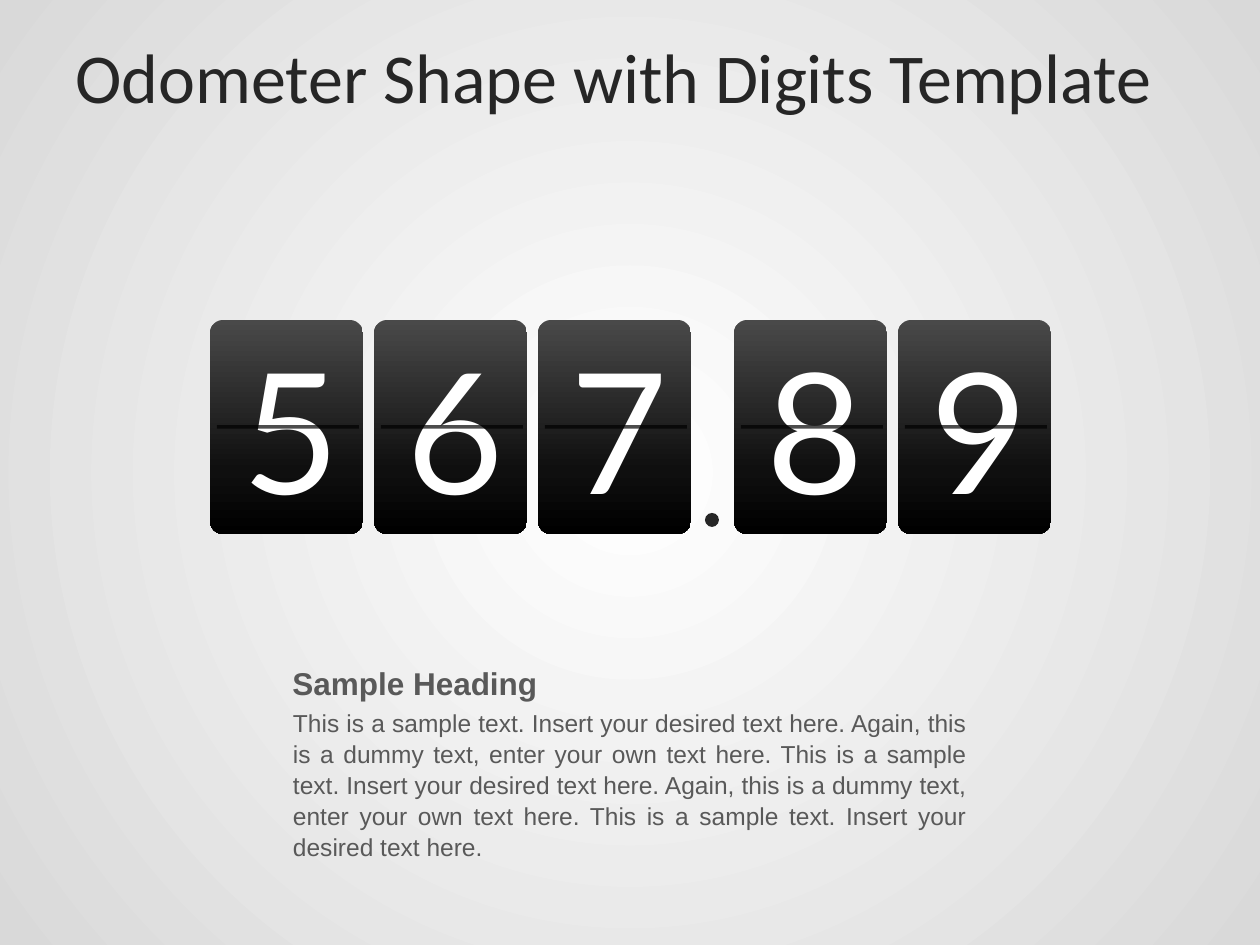
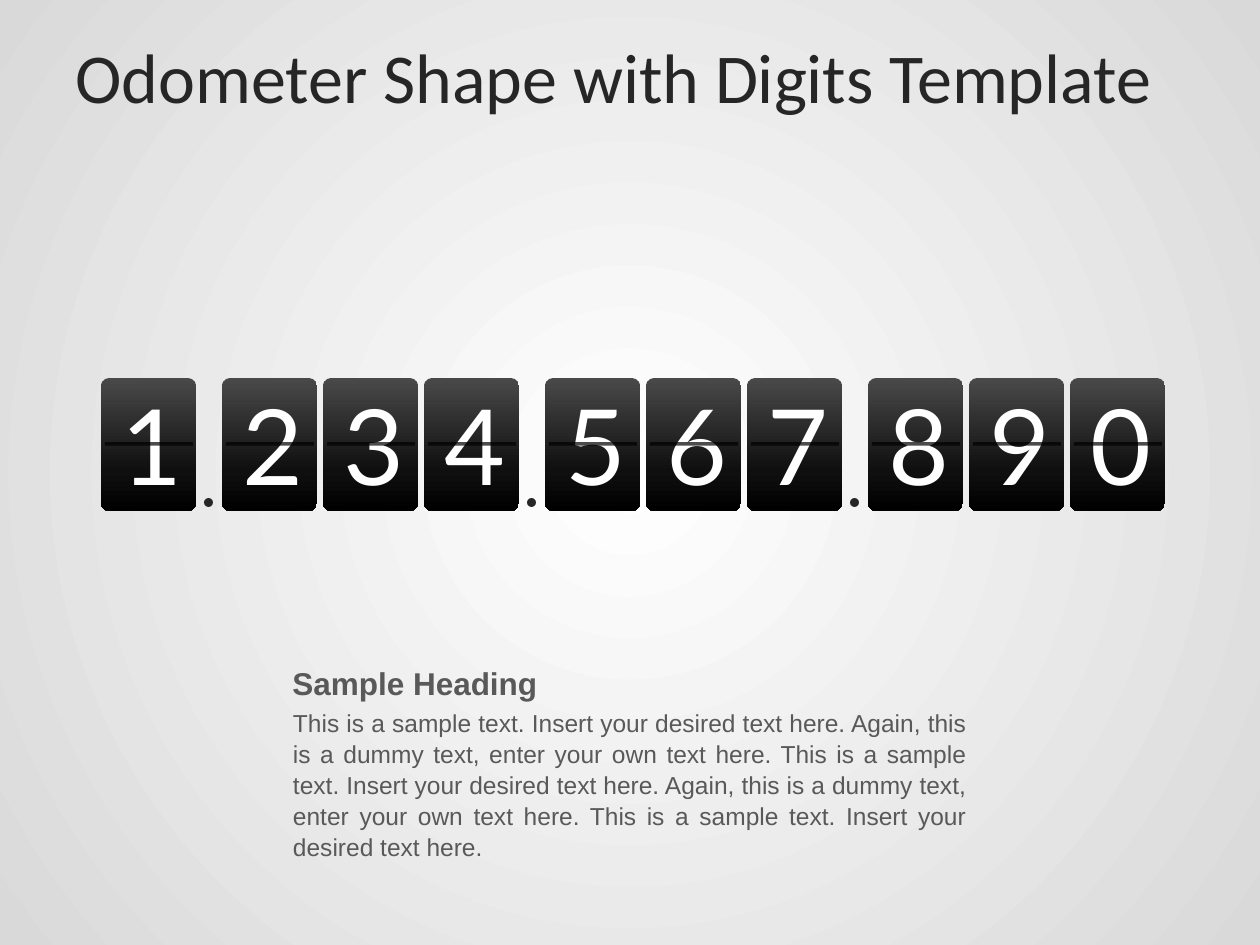
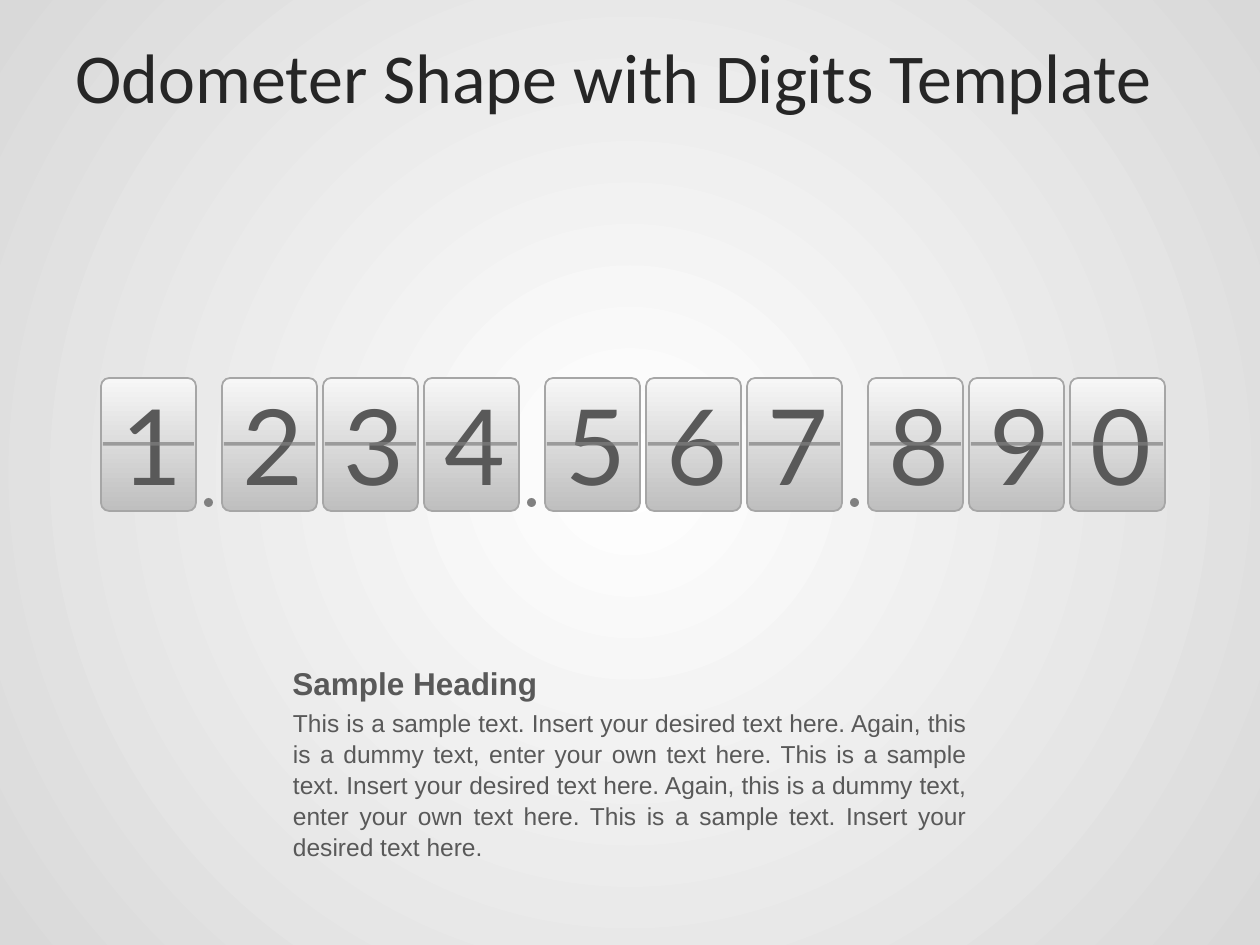
from dataclasses import dataclass

from lxml import etree
from pptx import Presentation
from pptx.dml.color import RGBColor
from pptx.enum.shapes import MSO_CONNECTOR, MSO_SHAPE
from pptx.enum.text import MSO_ANCHOR, MSO_AUTO_SIZE, PP_ALIGN
from pptx.oxml.ns import qn
from pptx.util import Emu, Pt

LEFT, CENTER, JUSTIFY = PP_ALIGN.LEFT, PP_ALIGN.CENTER, PP_ALIGN.JUSTIFY
TOP, MIDDLE = MSO_ANCHOR.TOP, MSO_ANCHOR.MIDDLE
FIXED, GROW = MSO_AUTO_SIZE.NONE, MSO_AUTO_SIZE.SHAPE_TO_FIT_TEXT
ELLIPSE, ROUNDED = MSO_SHAPE.OVAL, MSO_SHAPE.ROUNDED_RECTANGLE
STRAIGHT = MSO_CONNECTOR.STRAIGHT

EMU_PER_PIXEL = 914400 / 126
TITLE_ONLY_LAYOUT = 5
INK, GREY = "262626", "595959"
BACKDROP = [(0, "FFFFFF"), (100, "D9D9D9")]

TITLE = "Odometer Shape with Digits Template"
HEADING = "Sample Heading"
BODY = (
    "This is a sample text. Insert your desired text here. Again, this is a dummy text, "
    "enter your own text here. This is a sample text. Insert your desired text here. "
    "Again, this is a dummy text, enter your own text here. This is a sample text. "
    "Insert your desired text here."
)


@dataclass
class Palette:
    """Colours of one odometer."""
    plate: list
    digit: str
    seam: str
    dot: str
    border: str = ""


@dataclass
class Dial:
    """Pixel measures of one odometer."""
    left: int
    top: int
    width: int
    height: int
    pitch: int
    dot_space: int
    dot_lead: int
    dot_top: int
    dot_size: int
    box_width: int
    box_height: int
    seam_inset: int
    seam_length: int
    font_size: int


DARK = Palette([(0, "494949"), (70, "0F0F0F"), (100, "000000")], "FFFFFF", "000000", INK)
LIGHT = Palette([(0, "F7F7F7"), (100, "BFBFBF")], GREY, "808080", "808080", "A6A6A6")

LARGE = Dial(left=210, top=320, width=153, height=214, pitch=164, dot_space=32,
             dot_lead=29, dot_top=513, dot_size=14, box_width=112, box_height=217,
             seam_inset=7, seam_length=142, font_size=96)
SMALL = Dial(left=101, top=378, width=95, height=133, pitch=101, dot_space=20,
             dot_lead=18, dot_top=498, dot_size=9, box_width=79, box_height=140,
             seam_inset=4, seam_length=88, font_size=60)


def px(*lengths):
    """Turn pixel lengths into a list of EMU lengths."""
    return [Emu(round(length * EMU_PER_PIXEL)) for length in lengths]


def color(hex_string):
    """Turn a hex string into a colour."""
    return RGBColor.from_string(hex_string)


def add_child(parent, tag, **attributes):
    """Append a drawing element with its attributes."""
    values = {name: str(value) for name, value in attributes.items()}
    return etree.SubElement(parent, qn(tag), values)


def paint_gradient(owner, fill, stops, radial=False):
    """Give a fill its gradient stops, downwards or from the middle outwards."""
    fill.gradient()
    gradient = owner.element.find(".//" + qn("a:gradFill"))
    for child in list(gradient):
        gradient.remove(child)
    stop_list = add_child(gradient, "a:gsLst")
    for position, hex_string in stops:
        stop = add_child(stop_list, "a:gs", pos=position * 1000)
        add_child(stop, "a:srgbClr", val=hex_string)
    if radial:
        circle = add_child(gradient, "a:path", path="circle")
        add_child(circle, "a:fillToRect", l=50000, t=50000, r=50000, b=50000)
    else:
        add_child(gradient, "a:lin", ang=5400000, scaled=0)


def write(shape, text, size, font, ink, bold=False, align=LEFT, anchor=MIDDLE,
          wrap=True, fit=FIXED, spacing=None, margins=None):
    """Put formatted text into a shape."""
    frame = shape.text_frame
    frame.auto_size, frame.word_wrap, frame.vertical_anchor = fit, wrap, anchor
    if margins:
        (frame.margin_left, frame.margin_top,
         frame.margin_right, frame.margin_bottom) = px(*margins)
    paragraph = frame.paragraphs[0]
    paragraph.alignment = align
    if spacing:
        paragraph.line_spacing = spacing
    run = paragraph.add_run()
    run.text = text
    run.font.size, run.font.name, run.font.bold = Pt(size), font, bold
    run.font.color.rgb = color(ink)


class Deck:
    """Holds the presentation, its shared style and the current slide."""

    def __init__(self):
        """Set the slide size and the shared background."""
        self.presentation = Presentation()
        self.presentation.slide_width, self.presentation.slide_height = px(1260, 945)
        master = self.presentation.slide_master
        paint_gradient(master, master.background.fill, BACKDROP, radial=True)
        self.slide = None

    def new_slide(self, title):
        """Start a slide with its title."""
        layout = self.presentation.slide_layouts[TITLE_ONLY_LAYOUT]
        self.slide = self.presentation.slides.add_slide(layout)
        shape = self.slide.shapes.title
        shape.left, shape.top, shape.width, shape.height = px(63, 21, 1134, 110)
        write(shape, title, 40, "Calibri", INK)

    def dot(self, left, top, size, fill):
        """Draw a separator dot."""
        shape = self.slide.shapes.add_shape(ELLIPSE, *px(left, top, size, size))
        shape.shadow.inherit = False
        shape.fill.solid()
        shape.fill.fore_color.rgb = color(fill)
        shape.line.fill.background()

    def plate(self, group, left, dial, palette):
        """Draw the rounded plate behind a digit."""
        shape = group.shapes.add_shape(
            ROUNDED, *px(left, dial.top, dial.width, dial.height))
        shape.adjustments[0] = 0.085
        shape.shadow.inherit = False
        paint_gradient(shape, shape.fill, palette.plate)
        if palette.border:
            shape.line.color.rgb = color(palette.border)
            shape.line.width = Pt(1)
        else:
            shape.line.fill.background()

    def seam(self, group, left, y, length, ink):
        """Draw the translucent line across a plate."""
        line = group.shapes.add_connector(STRAIGHT, *px(left, y, left + length, y))
        line.line.color.rgb = color(ink)
        line.line.width = Pt(2)
        add_child(line.element.find(".//" + qn("a:srgbClr")), "a:alpha", val=70000)
        add_child(line.element.spPr, "a:effectLst")

    def digit(self, character, left, dial, palette, seam_inset, seam_length):
        """Draw one digit with its plate and seam as a group."""
        group = self.slide.shapes.add_group_shape()
        self.plate(group, left, dial, palette)
        middle = dial.top + dial.height // 2
        box = group.shapes.add_textbox(*px(
            left + (dial.width - dial.box_width) // 2, middle - dial.box_height // 2,
            dial.box_width, dial.box_height))
        write(box, character, dial.font_size, "Lato", palette.digit,
              align=CENTER, wrap=False, fit=GROW)
        self.seam(group, left + seam_inset, middle, seam_length, palette.seam)

    def odometer(self, number, dial, palette):
        """Lay out a number as digits, with a dot at each full stop."""
        seam_inset, seam_length = dial.seam_inset, dial.seam_length
        if palette.border:
            seam_inset, seam_length = seam_inset - 2, seam_length + 3
        left = dial.left
        for character in number:
            if character == ".":
                left += dial.dot_space
                self.dot(left - dial.dot_lead, dial.dot_top, dial.dot_size, palette.dot)
            else:
                self.digit(character, left, dial, palette, seam_inset, seam_length)
                left += dial.pitch

    def caption(self, heading, body):
        """Add the heading and text below the odometer."""
        group = self.slide.shapes.add_group_shape()
        heading_box = group.shapes.add_textbox(*px(280, 662, 378, 42))
        write(heading_box, heading, 18, "Arial", GREY, bold=True)
        body_box = group.shapes.add_textbox(*px(280, 707, 700, 186))
        write(body_box, body, 14, "Arial", GREY, align=JUSTIFY, anchor=TOP,
              spacing=1.05, margins=(13, 0, 13, 0))


def main():
    """Build and save the three slides."""
    deck = Deck()
    for number, dial, palette in [
        ("567.89", LARGE, DARK),
        ("1.234.567.890", SMALL, DARK),
        ("1.234.567.890", SMALL, LIGHT),
    ]:
        deck.new_slide(TITLE)
        deck.odometer(number, dial, palette)
        deck.caption(HEADING, BODY)
    deck.presentation.save("out.pptx")


main()
